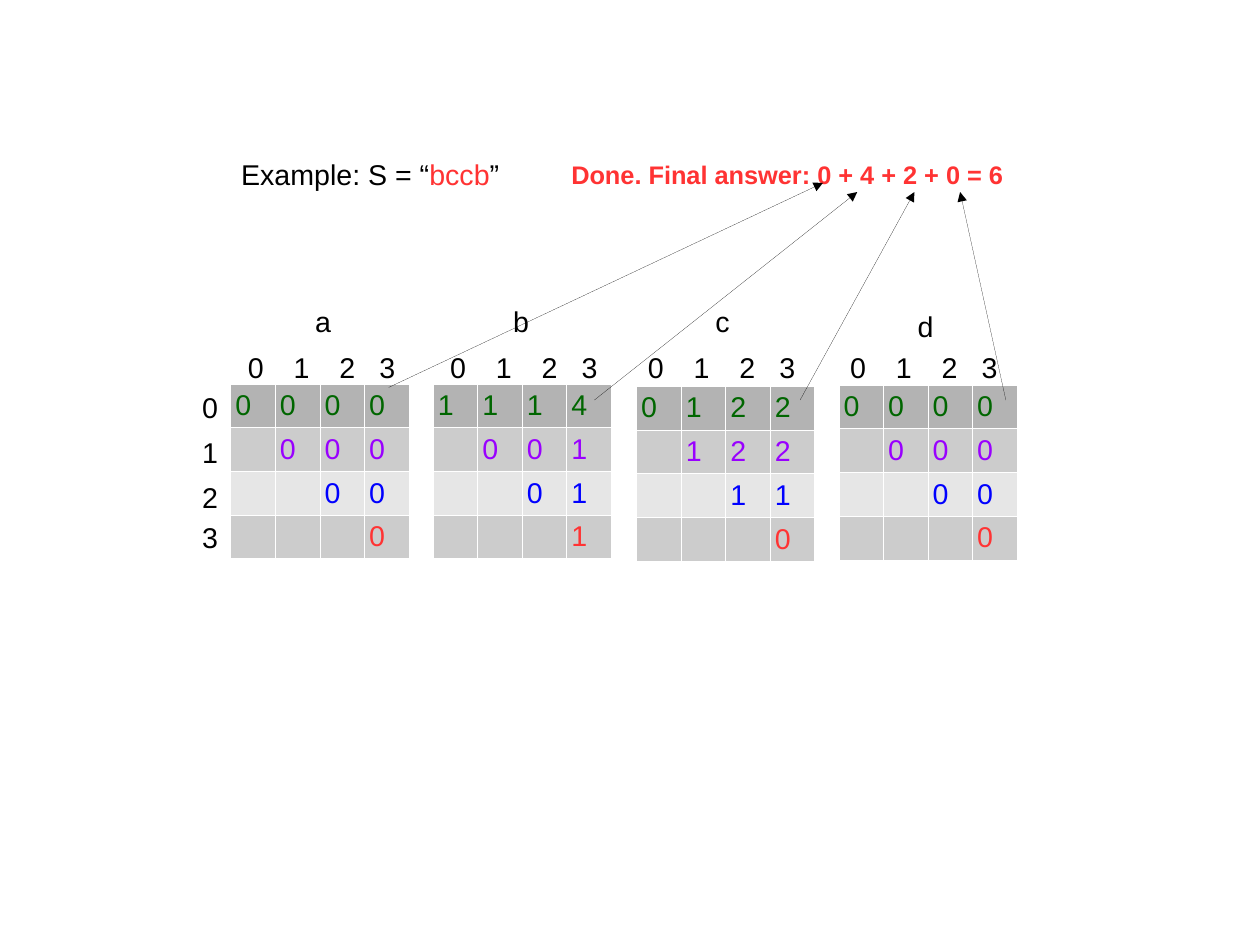
from lxml import etree
from pptx import Presentation
from pptx.dml.color import RGBColor
from pptx.enum.shapes import MSO_CONNECTOR
from pptx.enum.text import MSO_ANCHOR, MSO_AUTO_SIZE, PP_ALIGN
from pptx.oxml.ns import qn
from pptx.util import Cm, Inches, Pt

STRAIGHT = MSO_CONNECTOR.STRAIGHT
TOP, LEFT, NO_FIT = MSO_ANCHOR.TOP, PP_ALIGN.LEFT, MSO_AUTO_SIZE.NONE

FONT = "Arial"
BLACK, RED, WHITE = "000000", "FF3333", "FFFFFF"
ROW_INKS = ["006600", "9900FF", "0000FF", RED]
ROW_FILLS = ["B3B3B3", "CCCCCC", "E6E6E6", "CCCCCC"]
LABEL_W, LABEL_H = 0.4, 0.38
GRID_W, GRID_H = 1.56, 1.53
HEADER_TOP = 3.01
COLUMN_OFFSETS = [0, 0.4, 0.8, 1.15]
ROW_LABEL_TOPS = [3.36, 3.76, 4.15, 4.5]

# letter, grid left and top, letter left and top, left of the column numbers, rows
LETTER_GRIDS = [
    ("a", 2.02, 3.36, 2.66, 2.61, 2.07, ["0000", "000", "00", "0"]),
    ("b", 3.79, 3.36, 4.39, 2.61, 3.84, ["1114", "001", "01", "1"]),
    ("c", 5.57, 3.38, 6.16, 2.61, 5.57, ["0122", "122", "11", "0"]),
    ("d", 7.34, 3.37, 7.93, 2.65, 7.34, ["0000", "000", "00", "0"]),
]
ANSWER_ARROWS = [
    (3.4, 3.39, 7.2, 1.6),
    (5.2, 3.5, 7.5, 1.68),
    (7, 3.5, 8, 1.68),
    (8.8, 3.5, 8.4, 1.68),
]


def color(hex_code):
    return RGBColor.from_string(hex_code)


def write(frame, runs, size=18, bold=False):
    """Fill the first paragraph with (text, colour) runs."""
    paragraph = frame.paragraphs[0]
    paragraph.alignment = LEFT
    font_format = {"name": FONT, "size": Pt(size), "bold": bold}
    for text, ink in runs:
        run = paragraph.add_run()
        run.text = text
        for attribute, value in font_format.items():
            setattr(run.font, attribute, value)
        run.font.color.rgb = color(ink)


def set_up_frame(frame):
    frame_format = {
        "word_wrap": True, "auto_size": NO_FIT, "vertical_anchor": TOP,
        "margin_left": Inches(0.1), "margin_right": Inches(0.1),
        "margin_top": Inches(0.05), "margin_bottom": Inches(0.05),
    }
    for attribute, value in frame_format.items():
        setattr(frame, attribute, value)


def add_label(slide, left, top, text, width=LABEL_W, height=LABEL_H,
              ink=BLACK, size=18, bold=False):
    label = slide.shapes.add_textbox(
        Inches(left), Inches(top), Inches(width), Inches(height))
    set_up_frame(label.text_frame)
    write(label.text_frame, [(text, ink)], size, bold)


def add_example_title(slide, left, top, width, height):
    title = slide.shapes.title
    place = {"left": left, "top": top, "width": width, "height": height}
    for attribute, value in place.items():
        setattr(title, attribute, Inches(value))
    set_up_frame(title.text_frame)
    write(title.text_frame,
          [("Example: S = “", BLACK), ("bccb", RED), ("”", BLACK)])


def add_cell_borders(cell):
    properties = cell._tc.get_or_add_tcPr()
    for side in ("a:lnL", "a:lnR", "a:lnT", "a:lnB"):
        border = etree.SubElement(properties, qn(side), w=str(Pt(0.57)))
        fill = etree.SubElement(border, qn("a:solidFill"))
        etree.SubElement(fill, qn("a:srgbClr"), val=WHITE)


def set_empty_cell_font(cell):
    """Keep the line height of an empty cell equal to that of a filled one."""
    paragraph = cell.text_frame.paragraphs[0]._p
    end = etree.SubElement(paragraph, qn("a:endParaRPr"), sz="1800")
    etree.SubElement(end, qn("a:latin"), typeface=FONT)


def add_count_grid(slide, left, top, rows):
    """Add an upper triangular table: each row is aligned to the right."""
    size = len(rows)
    table = slide.shapes.add_table(
        size, size, Inches(left), Inches(top),
        Inches(GRID_W), Inches(GRID_H)).table
    table.first_row = table.horz_banding = False
    cell_margins = {"margin_left": 0.04, "margin_right": 0.04,
                    "margin_top": 0.05, "margin_bottom": 0.05}
    for row, counts in enumerate(rows):
        for column in range(size):
            cell = table.cell(row, column)
            for attribute, value in cell_margins.items():
                setattr(cell, attribute, Inches(value))
            add_cell_borders(cell)
            cell.fill.solid()
            cell.fill.fore_color.rgb = color(ROW_FILLS[row])
            if column >= row:
                write(cell.text_frame, [(counts[column - row], ROW_INKS[row])])
            else:
                set_empty_cell_font(cell)


def add_answer_arrow(slide, *ends):
    """Add a hairline arrow; the zero width has to be written as XML."""
    arrow = slide.shapes.add_connector(STRAIGHT, *map(Inches, ends))
    arrow.line.color.rgb = color(BLACK)
    outline = arrow.line._get_or_add_ln()
    outline.set("w", "0")
    etree.SubElement(outline, qn("a:tailEnd"), type="triangle")
    etree.SubElement(arrow._element.spPr, qn("a:effectLst"))


def main():
    deck = Presentation()
    deck.slide_width, deck.slide_height = Cm(28), Cm(21)
    slide = deck.slides.add_slide(deck.slide_layouts[5])

    add_example_title(slide, 2.01, 1.32, 2.5, 0.38)
    for letter, left, top, letter_left, letter_top, numbers_left, rows in LETTER_GRIDS:
        add_count_grid(slide, left, top, rows)
        add_label(slide, letter_left, letter_top, letter)
        for number, offset in enumerate(COLUMN_OFFSETS):
            add_label(slide, numbers_left + offset, HEADER_TOP, str(number))
    for number, top in enumerate(ROW_LABEL_TOPS):
        add_label(slide, 1.67, top, str(number))
    add_label(slide, 4.9, 1.34, "Done. Final answer: 0 + 4 + 2 + 0 = 6",
              width=4.3, height=0.35, ink=RED, size=16, bold=True)
    for ends in ANSWER_ARROWS:
        add_answer_arrow(slide, *ends)

    deck.save("out.pptx")


if __name__ == "__main__":
    main()
